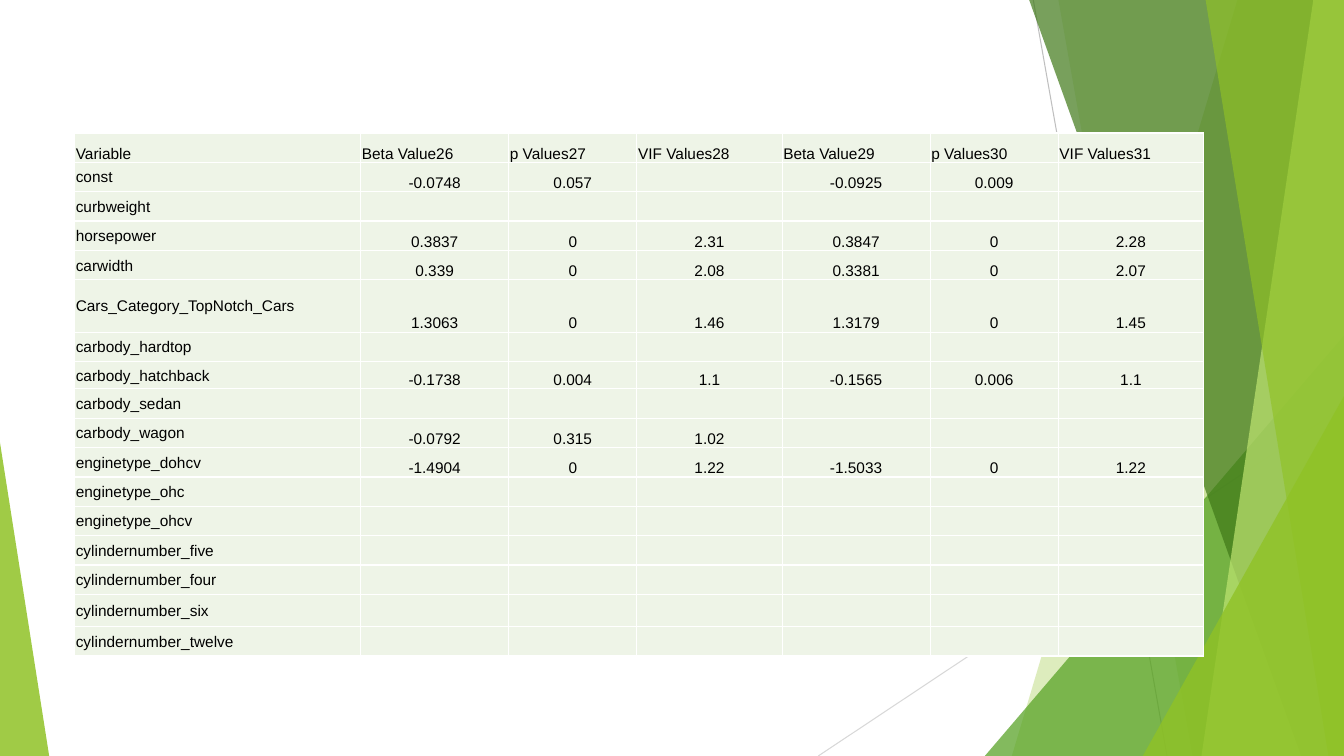
from dataclasses import dataclass

from lxml.etree import SubElement
from pptx import Presentation
from pptx.dml.color import RGBColor
from pptx.enum.shapes import MSO_CONNECTOR, MSO_SHAPE
from pptx.enum.text import MSO_ANCHOR, PP_ALIGN
from pptx.oxml.ns import qn
from pptx.util import Cm, Pt


@dataclass(frozen=True)
class Theme:
    lime: str = "90C226"
    pale_lime: str = "BFE471"
    leaf: str = "54A021"
    forest: str = "3F7818"
    gray: str = "BFBFBF"
    light_gray: str = "D8D8D8"
    cell: str = "EEF4E7"
    border: str = "FFFFFF"
    text: str = "000000"
    font: str = "Arial"
    text_size: int = 11
    hairline: float = 0.75
    border_width: int = 1


THEME = Theme()
WIDTH, HEIGHT = 33.87, 19.05

COLUMN_WIDTHS = [7.21] + [3.73, 3.23, 3.66] * 2
ROW_HEIGHT = 0.74
SPECIAL_HEIGHTS = {
    "Cars_Category_TopNotch_Cars": 1.32,
    "carbody_hatchback": 0.69,
    "cylindernumber_six": 0.81,
}
ROWS = [
    ("Variable", "Beta Value26", "p Values27", "VIF Values28",
     "Beta Value29", "p Values30", "VIF Values31"),
    ("const", "-0.0748", "0.057", "", "-0.0925", "0.009", ""),
    ("curbweight",),
    ("horsepower", "0.3837", "0", "2.31", "0.3847", "0", "2.28"),
    ("carwidth", "0.339", "0", "2.08", "0.3381", "0", "2.07"),
    ("Cars_Category_TopNotch_Cars", "1.3063", "0", "1.46", "1.3179", "0", "1.45"),
    ("carbody_hardtop",),
    ("carbody_hatchback", "-0.1738", "0.004", "1.1", "-0.1565", "0.006", "1.1"),
    ("carbody_sedan",),
    ("carbody_wagon", "-0.0792", "0.315", "1.02"),
    ("enginetype_dohcv", "-1.4904", "0", "1.22", "-1.5033", "0", "1.22"),
    ("enginetype_ohc",),
    ("enginetype_ohcv",),
    ("cylindernumber_five",),
    ("cylindernumber_four",),
    ("cylindernumber_six",),
    ("cylindernumber_twelve",),
]


def apply_format(target, values):
    for name, value in values.items():
        setattr(target, name, value)


def add_line(page, start, end, color):
    line = page.shapes.add_connector(
        MSO_CONNECTOR.STRAIGHT, *(Cm(value) for value in start + end))
    line.line.color.rgb = RGBColor.from_string(color)
    line.line.width = Pt(THEME.hairline)
    SubElement(line.element.spPr, qn("a:effectLst"))


def paint(shape, color, opacity):
    shape.shadow.inherit = False
    shape.line.fill.background()
    shape.fill.solid()
    shape.fill.fore_color.rgb = RGBColor.from_string(color)
    color_element = shape.element.spPr.find(f".//{qn('a:srgbClr')}")
    SubElement(color_element, qn("a:alpha"), val=str(opacity * 1000))


def add_band(page, top_left, bottom_left, color, opacity):
    top = -0.02
    builder = page.shapes.build_freeform(Cm(top_left), Cm(top))
    corners = [(WIDTH, top), (WIDTH, HEIGHT), (bottom_left, HEIGHT)]
    builder.add_line_segments([(Cm(x), Cm(y)) for x, y in corners], close=True)
    paint(builder.convert_to_shape(), color, opacity)


def add_corner(page, left, top, width, peak, color, opacity):
    triangle = page.shapes.add_shape(
        MSO_SHAPE.ISOSCELES_TRIANGLE,
        Cm(left), Cm(top), Cm(width), Cm(HEIGHT - top))
    triangle.adjustments[0] = peak
    paint(triangle, color, opacity)


def add_borders(cell):
    properties = cell._tc.get_or_add_tcPr()
    for side in ("lnL", "lnR", "lnT", "lnB"):
        border = SubElement(
            properties, qn(f"a:{side}"), w=str(Pt(THEME.border_width)))
        fill = SubElement(border, qn("a:solidFill"))
        SubElement(fill, qn("a:srgbClr"), val=THEME.border)


def fill_cell(cell, text, anchor, align):
    add_borders(cell)
    cell.fill.solid()
    cell.fill.fore_color.rgb = RGBColor.from_string(THEME.cell)
    apply_format(cell, {
        "margin_left": Cm(0.03),
        "margin_right": Cm(0.03),
        "margin_top": Cm(0.03),
        "margin_bottom": Cm(0),
        "vertical_anchor": anchor,
    })
    para = cell.text_frame.paragraphs[0]
    para.alignment = align
    if text:
        span = para.add_run()
        span.text = text
        apply_format(span.font, {
            "name": THEME.font,
            "size": Pt(THEME.text_size),
            "bold": False,
        })
        span.font.color.rgb = RGBColor.from_string(THEME.text)
    else:
        SubElement(para._p, qn("a:endParaRPr"), sz=str(THEME.text_size * 100))


def add_variable_table(page):
    heights = [SPECIAL_HEIGHTS.get(row[0], ROW_HEIGHT) for row in ROWS]
    table = page.shapes.add_table(
        len(ROWS), len(COLUMN_WIDTHS), Cm(1.88), Cm(3.35),
        Cm(sum(COLUMN_WIDTHS)), Cm(sum(heights))).table
    apply_format(table, {"first_row": False, "horz_banding": False})
    for column, width in zip(table.columns, COLUMN_WIDTHS):
        column.width = Cm(width)
    for row, height in zip(table.rows, heights):
        row.height = Cm(height)
    for row_index, values in enumerate(ROWS):
        for column_index in range(len(COLUMN_WIDTHS)):
            text = values[column_index] if column_index < len(values) else ""
            is_header = row_index == 0
            is_label = column_index == 0
            anchor = MSO_ANCHOR.MIDDLE if is_label and not is_header else MSO_ANCHOR.BOTTOM
            align = PP_ALIGN.LEFT if is_label or is_header else PP_ALIGN.CENTER
            fill_cell(table.cell(row_index, column_index), text, anchor, align)


def add_backdrop(page):
    add_line(page, (26.04, 0), (29.41, HEIGHT), THEME.gray)
    add_line(page, (WIDTH, 10.24), (20.62, HEIGHT), THEME.light_gray)
    add_band(page, 31.19, 25.5, THEME.lime, 30)
    add_band(page, 26.67, 30.05, THEME.lime, 20)
    add_corner(page, 24.82, 8.46, WIDTH - 24.82, 1, THEME.leaf, 72)
    add_band(page, 25.93, 32.79, THEME.forest, 70)
    add_band(page, 33.1, 30.28, THEME.pale_lime, 70)
    add_band(page, 30.38, 33.48, THEME.lime, 65)
    add_corner(page, 28.8, 9.98, WIDTH - 28.8, 1, THEME.lime, 80)
    add_corner(page, 0, 11.15, 1.24, 0, THEME.lime, 85)


def main():
    deck = Presentation()
    apply_format(deck, {"slide_width": Cm(WIDTH), "slide_height": Cm(HEIGHT)})
    page = deck.slides.add_slide(deck.slide_layouts[6])
    add_backdrop(page)
    add_variable_table(page)
    deck.save("out.pptx")


if __name__ == "__main__":
    main()
